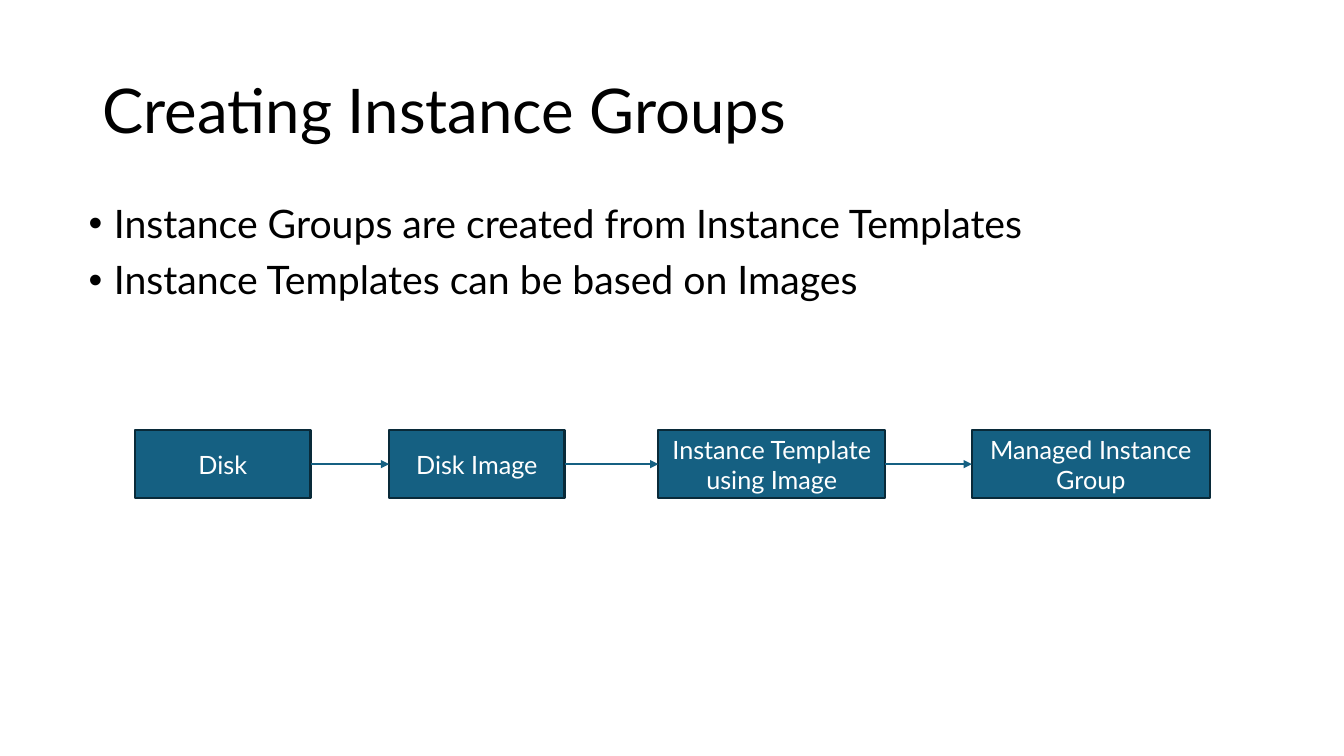
from itertools import pairwise

from pptx import Presentation
from pptx.dml.color import RGBColor
from pptx.enum.shapes import MSO_CONNECTOR as Connector, MSO_SHAPE as Shape
from pptx.enum.text import MSO_ANCHOR as Anchor, MSO_AUTO_SIZE as AutoSize, PP_ALIGN as Align
from pptx.oxml.ns import qn
from pptx.oxml.xmlchemy import OxmlElement
from pptx.util import Inches, Pt

BLACK = RGBColor(0x00, 0x00, 0x00)
WHITE = RGBColor(0xFF, 0xFF, 0xFF)
TEAL = RGBColor(0x15, 0x60, 0x82)
DARK_TEAL = RGBColor(0x09, 0x2A, 0x39)

RIGHT_SITE, LEFT_SITE = 3, 1
STEP_TOP, STEP_HEIGHT = 4.27, 0.67
STEPS = [  # label, left, width
    ("Disk", 1.34, 1.74),
    ("Disk Image", 3.86, 1.74),
    ("Instance Template using Image", 6.53, 2.25),
    ("Managed Instance Group", 9.64, 2.36),
]


class SlideBuilder:
    font = "Lato"
    line_width = Pt(1.5)

    def __init__(self, page):
        self.page = page

    def style(self, para, size, color, align):
        para.font.name = self.font
        para.font.size = Pt(size)
        para.font.color.rgb = color
        para.alignment = align

    def fill_placeholder(self, holder, lines, area, size, anchor):
        holder.left, holder.top, holder.width, holder.height = map(Inches, area)
        frame = holder.text_frame
        frame.text = "\n".join(lines)
        frame.auto_size = AutoSize.NONE
        frame.vertical_anchor = anchor
        for para in frame.paragraphs:
            self.style(para, size, BLACK, Align.LEFT)
            para.line_spacing = 0.9
        return frame.paragraphs

    def title(self, text):
        self.fill_placeholder(self.page.shapes.title, [text],
                              (0.92, 0.4, 11.5, 1.45), 44, Anchor.MIDDLE)

    def bullets(self, lines):
        paras = self.fill_placeholder(self.page.placeholders[1], lines,
                                      (0.78, 1.98, 11.5, 4.76), 28, Anchor.TOP)
        for para in paras:
            para.space_before = Pt(10)
            properties = para.font._element.getparent()
            properties.set("marL", str(Inches(0.25)))
            properties.set("indent", str(Inches(-0.25)))

    def step(self, label, left, width):
        box = self.page.shapes.add_shape(Shape.RECTANGLE, Inches(left), Inches(STEP_TOP),
                                         Inches(width), Inches(STEP_HEIGHT))
        box.shadow.inherit = False
        box.fill.solid()
        box.fill.fore_color.rgb = TEAL
        box.line.color.rgb = DARK_TEAL
        box.line.width = self.line_width
        frame = box.text_frame
        frame.text = label
        frame.word_wrap = True
        frame.vertical_anchor = Anchor.MIDDLE
        self.style(frame.paragraphs[0], 18, WHITE, Align.CENTER)
        return box

    def arrow(self, source, target):
        arrow = self.page.shapes.add_connector(Connector.STRAIGHT, 0, 0, 0, 0)
        arrow.begin_connect(source, RIGHT_SITE)
        arrow.end_connect(target, LEFT_SITE)
        arrow.line.color.rgb = TEAL
        arrow.line.width = self.line_width
        properties = arrow.element.spPr
        head = OxmlElement("a:tailEnd")
        head.set("type", "triangle")
        properties.find(qn("a:ln")).append(head)
        properties.append(OxmlElement("a:effectLst"))


def main():
    deck = Presentation()
    deck.slide_width, deck.slide_height = Inches(13.33), Inches(7.5)
    builder = SlideBuilder(deck.slides.add_slide(deck.slide_layouts[1]))
    builder.title("Creating Instance Groups")
    builder.bullets(["Instance Groups are created from Instance Templates",
                     "Instance Templates can be based on Images"])
    boxes = [builder.step(*step) for step in STEPS]
    for source, target in pairwise(boxes):
        builder.arrow(source, target)
    deck.save("out.pptx")


if __name__ == "__main__":
    main()
